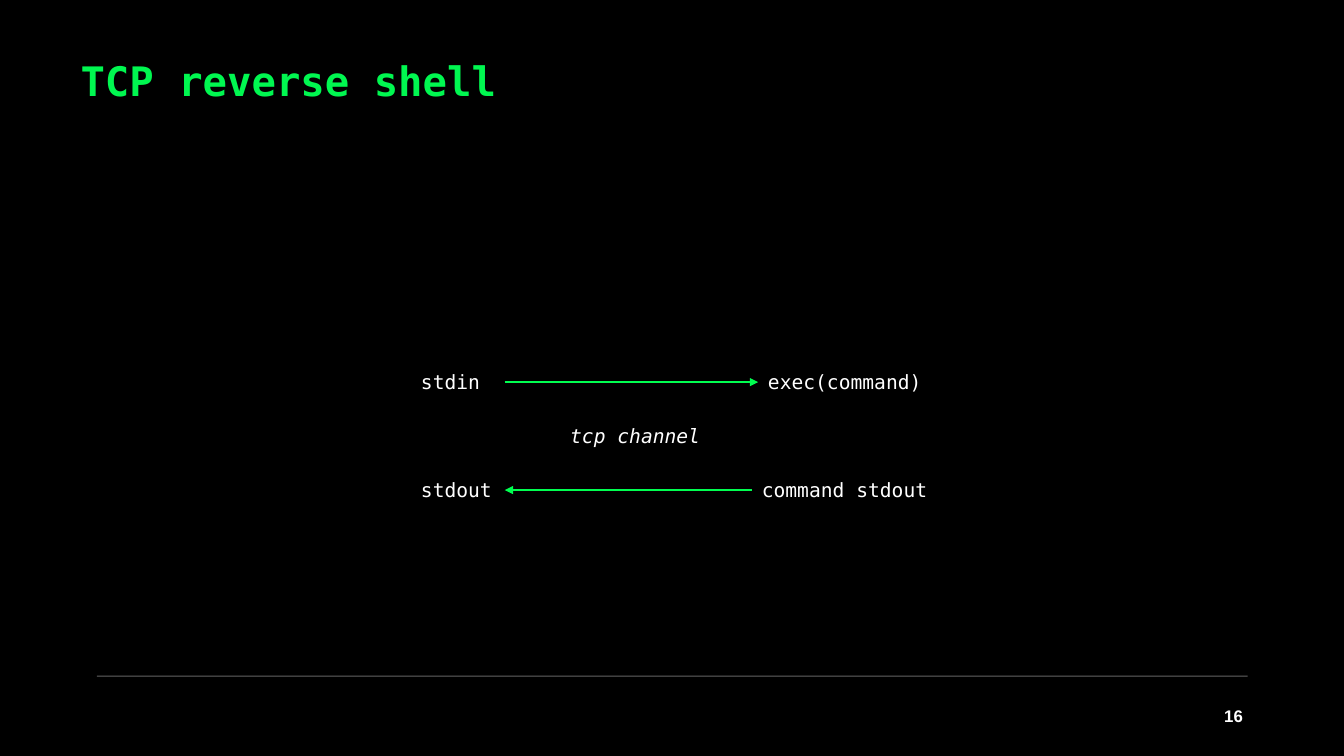
from lxml import etree
from pptx import Presentation
from pptx.dml.color import RGBColor
from pptx.enum import shapes, text
from pptx.oxml.ns import qn
from pptx.util import Cm, Pt

MONO = "DejaVu Sans Mono"
WHITE, TITLE_GREEN, ARROW_GREEN = "FFFFFF", "00F750", "00FE50"
INSET = 0.25


def paint(color, value):
    color.rgb = RGBColor.from_string(value)


def write(sp, words, size, color=WHITE, font=MONO, bold=False, italic=False,
          inset=INSET, anchor=text.MSO_ANCHOR.TOP, align=text.PP_ALIGN.LEFT):
    tf = sp.text_frame
    tf.text = words
    tf.word_wrap = True
    tf.auto_size = text.MSO_AUTO_SIZE.NONE
    tf.vertical_anchor = anchor
    tf.margin_left = tf.margin_right = tf.margin_top = tf.margin_bottom = Cm(inset)
    p = tf.paragraphs[0]
    p.alignment = align
    f = p.runs[0].font
    f.name, f.size, f.bold, f.italic = font, Pt(size), bold, italic
    paint(f.color, color)
    return p


def add_text(s, x, y, w, h, words, size, **style):
    sp = s.shapes.add_textbox(Cm(x), Cm(y), Cm(w), Cm(h))
    write(sp, words, size, **style)


def add_line(s, x1, x2, y, color, width):
    line = s.shapes.add_connector(shapes.MSO_CONNECTOR.STRAIGHT, Cm(x1), Cm(y), Cm(x2), Cm(y))
    paint(line.line.color, color)
    line.line.width = Pt(width)
    etree.SubElement(line._element.spPr, qn("a:effectLst"))
    return line.line._get_or_add_ln()


def add_title(s, x, y, w, h):
    sp = s.shapes.title
    sp.left, sp.top, sp.width, sp.height = Cm(x), Cm(y), Cm(w), Cm(h)
    p = write(sp, "TCP reverse shell", 29, color=TITLE_GREEN, bold=True)
    p.line_spacing = 0.9


def add_channel(s, x, y, w, h):
    row_h, left_w, right_center = 1.12, 2.36, 11.03
    step = (h - row_h) / 2

    # Both directions: the arrow spans the gap between its two labels
    rows = [(0, "stdin", "exec(command)", 4.57, True),
            (2, "stdout", "command stdout", 4.88, False)]
    for row, left, right, right_w, outward in rows:
        top = y + row * step
        right_x = x + right_center - right_w / 2
        add_text(s, x, top, left_w, row_h, left, 14)
        add_text(s, right_x, top, right_w, row_h, right, 14)
        ends = (x + left_w, right_x) if outward else (right_x, x + left_w)
        ln = add_line(s, *ends, top + row_h / 2, ARROW_GREEN, 1.5)
        etree.SubElement(ln, qn("a:tailEnd"), type="triangle")

    # Caption between the arrows
    add_text(s, x + 3.76, y + step, 3.99, row_h, "tcp channel", 14, italic=True)


def add_footer(s, x, y, w, h):
    ln = add_line(s, x, x + w, y, WHITE, 0.75)
    etree.SubElement(ln.find(".//" + qn("a:srgbClr")), qn("a:alpha"), val="40000")
    number_w, number_h = 7.62, 0.51
    add_text(s, x + w - number_w, y + h - number_h, number_w, number_h, "16 ", 12,
             font="Arial", bold=True, inset=0,
             anchor=text.MSO_ANCHOR.BOTTOM, align=text.PP_ALIGN.RIGHT)


def main():
    prs = Presentation()
    prs.slide_width, prs.slide_height = Cm(33.87), Cm(19.05)
    s = prs.slides.add_slide(prs.slide_layouts[5])
    s.background.fill.solid()
    paint(s.background.fill.fore_color, "000000")

    add_footer(s, 2.44, 17.04, 29, 1.25)
    add_title(s, 1.78, 1.3, 13.36, 1.63)
    add_channel(s, 10.36, 9.07, 13.47, 3.84)
    prs.save("out.pptx")


if __name__ == "__main__":
    main()
